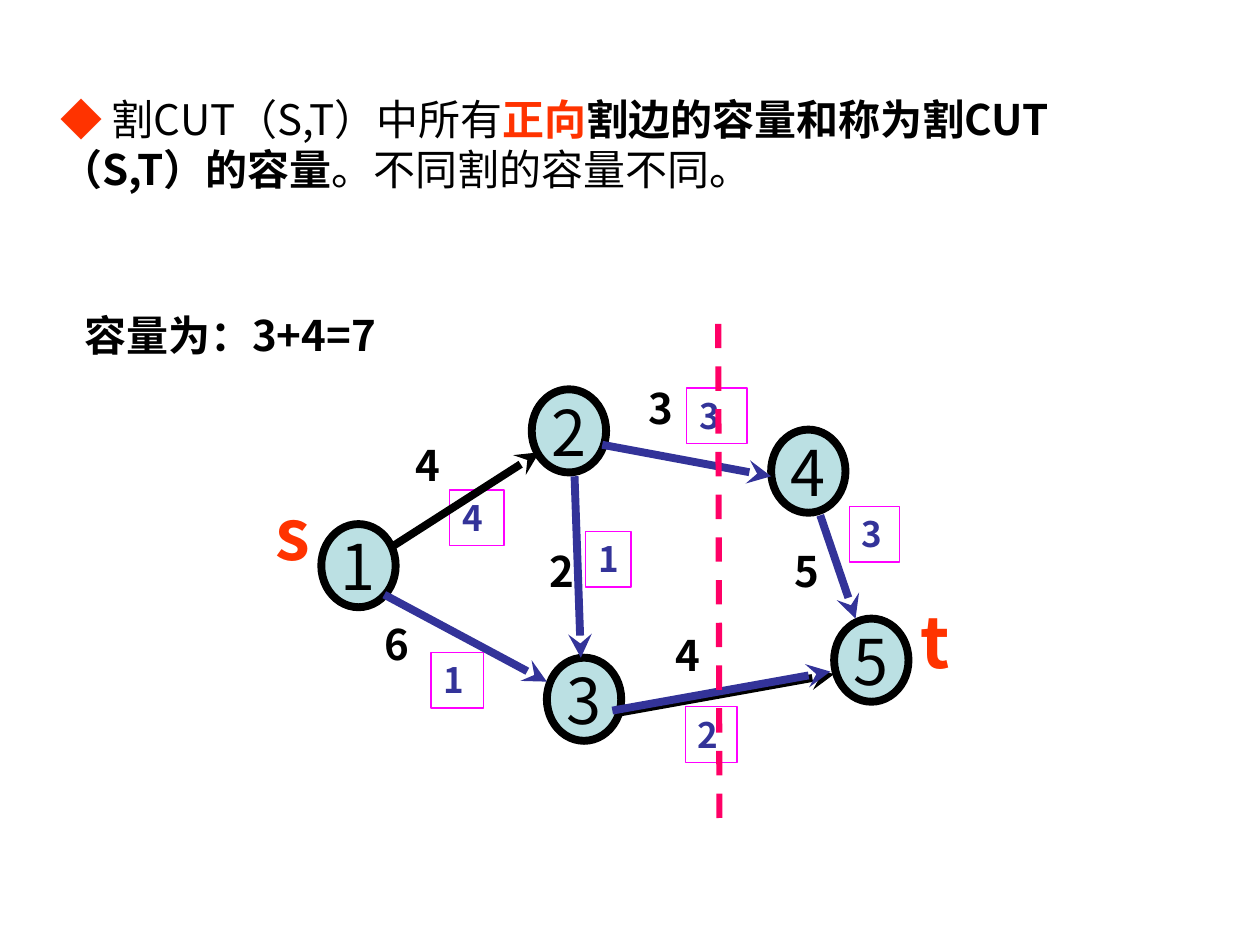
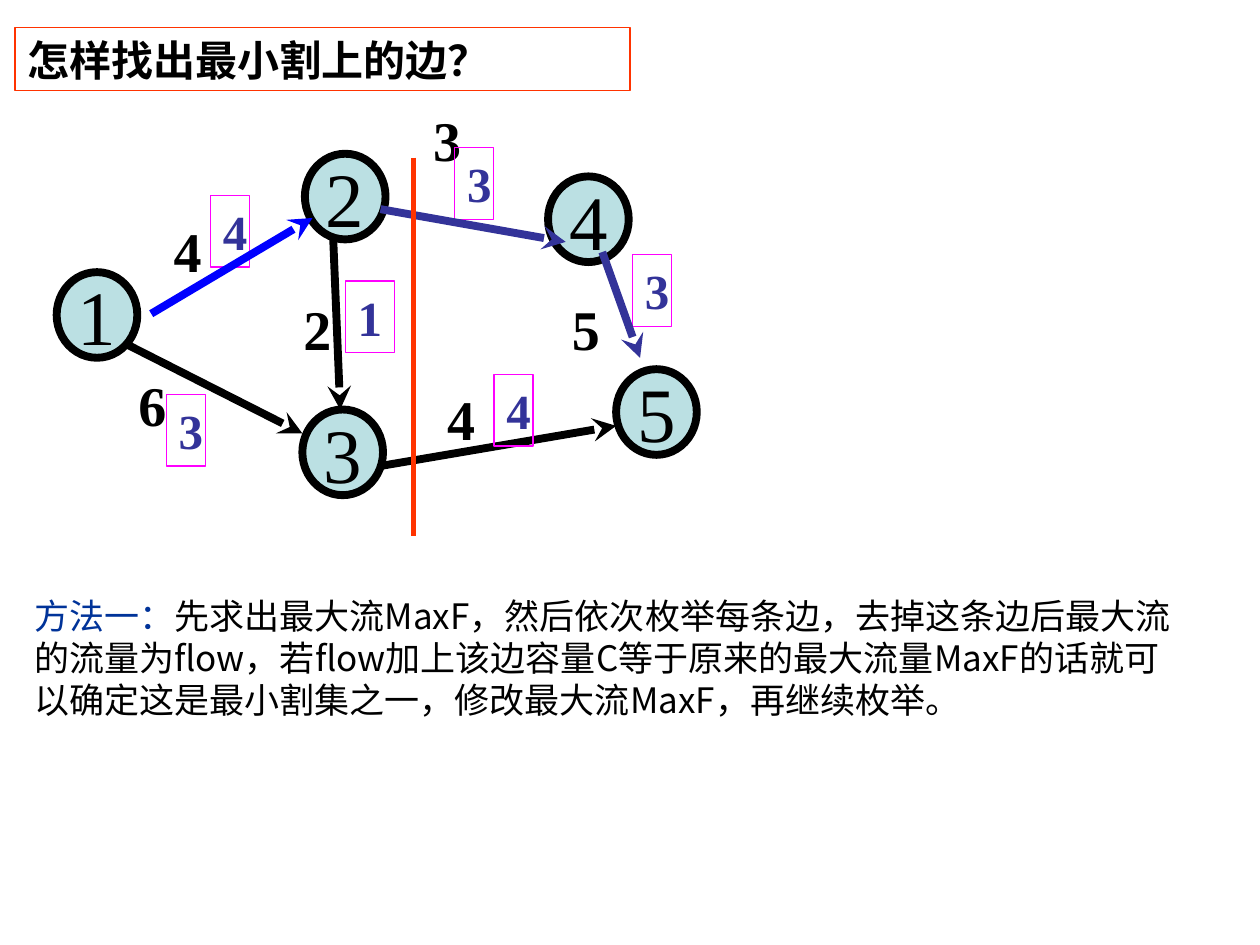
from dataclasses import dataclass
from lxml.etree import SubElement as Sub
from pptx import Presentation
from pptx.dml.color import RGBColor as RGB
from pptx.enum.dml import MSO_LINE as Dash
from pptx.enum.shapes import MSO_CONNECTOR as Link, MSO_SHAPE as Form
from pptx.enum.text import MSO_ANCHOR as Anchor, MSO_AUTO_SIZE as Fit, PP_ALIGN as Align
from pptx.oxml.ns import qn
from pptx.util import Inches, Pt

BLACK = RGB(0x00, 0x00, 0x00)
RED = RGB(0xFF, 0x33, 0x00)
ROSE = RGB(0xFF, 0x00, 0x66)
PINK = RGB(0xFF, 0x00, 0xFF)
NAVY = RGB(0x33, 0x33, 0x99)
BLUE = RGB(0x00, 0x00, 0xFF)
DEEP = RGB(0x00, 0x33, 0x99)
TEAL = RGB(0xBB, 0xE0, 0xE3)
SANS = "Noto Sans CJK SC"
SERIF = "Times New Roman"


@dataclass
class Style:
    """Font and sizes of one network drawing."""
    face: str
    node: tuple   # width, height
    num: int      # node number size
    cap: int      # capacity size
    flow: int     # flow size
    tall: float   # flow box height


def write(shape, runs, size, face=SANS, align=Align.LEFT, anchor=Anchor.TOP):
    """Fill a shape with one paragraph of (text, colour, bold) runs."""
    frame = shape.text_frame
    frame.auto_size, frame.word_wrap = Fit.NONE, True
    frame.vertical_anchor = anchor
    para = frame.paragraphs[0]
    if shape.is_placeholder:
        props = para._p.get_or_add_pPr()
        props.set("marL", "0")
        props.set("indent", "0")
        Sub(props, qn("a:buNone"))
    para.alignment, para.space_before = align, Pt(0)
    font = para.font
    font.size, font.name = Pt(size), face
    Sub(font._element, qn("a:ea")).set("typeface", face)
    if len(runs) == 1:
        font.color.rgb, font.bold = runs[0][1:]
    for text, color, bold in runs:
        run = para.add_run()
        run.text = text
        if len(runs) > 1:
            run.font.color.rgb, run.font.bold = color, bold
    return para


def place(shape, x, y, w, h):
    shape.left, shape.top = Inches(x), Inches(y)
    shape.width, shape.height = Inches(w), Inches(h)
    return shape


def label(slide, x, y, w, h, text, size, face=SANS, color=BLACK):
    box = slide.shapes.add_textbox(*map(Inches, (x, y, w, h)))
    write(box, [(text, color, True)], size, face)
    return box


def frame(shape, color):
    shape.line.color.rgb, shape.line.width = color, Pt(0.75)


def line(slide, ends, color, width=4.5, arrow=True, dash=None):
    link = slide.shapes.add_connector(Link.STRAIGHT, *map(Inches, ends))
    link.line.color.rgb, link.line.width = color, Pt(width)
    if dash:
        link.line.dash_style = dash
    if arrow:
        Sub(link.line._ln, qn("a:tailEnd")).set("type", "stealth")
    Sub(link._element.spPr, qn("a:effectLst"))


def graph(slide, left, top, style, back, caps, flows, nodes, front):
    """Draw a flow network, all places relative to (left, top)."""
    def edges(rows):
        for x1, y1, x2, y2, color in rows:
            line(slide, (left + x1, top + y1, left + x2, top + y2), color)

    edges(back)
    # Capacities
    for text, x, y in caps:
        label(slide, left + x, top + y, 0.36, style.cap / 50, text, style.cap, style.face)
    # Framed flows
    for text, x, y, w in flows:
        box = label(slide, left + x, top + y, w, style.tall, text, style.flow,
                    style.face, NAVY)
        frame(box, PINK)
    # Numbered nodes
    for num, (x, y) in nodes.items():
        oval = slide.shapes.add_shape(
            Form.OVAL, *map(Inches, (left + x, top + y, *style.node)))
        oval.shadow.inherit = False
        oval.fill.solid()
        oval.fill.fore_color.rgb = TEAL
        oval.line.color.rgb, oval.line.width = BLACK, Pt(4.5)
        write(oval, [(str(num), BLACK, False)], style.num, style.face,
              Align.CENTER, Anchor.MIDDLE)
        oval.text_frame.word_wrap = False
    edges(front)


def volume(deck):
    """Slide on the capacity of a cut."""
    slide = deck.slides.add_slide(deck.slide_layouts[5])
    head = place(slide.shapes.title, 0.38, 0.69, 8.9, 0.9)
    write(head, [("◆ ", RED, False), ("割CUT（S,T）中所有", BLACK, False),
                 ("正向", RED, True), ("割边的容量和称为割CUT（S,T）的容量", BLACK, True),
                 ("。不同割的容量不同。", BLACK, False)], 24)
    graph(
        slide, 2, 2, Style(SANS, (0.59, 0.66), 36, 24, 20, 0.44),
        back=[(2.89, 3.66, 4.62, 3.35, BLACK)],
        caps=[("6", 0.95, 2.86), ("4", 1.2, 1.44), ("3", 3.05, 0.99),
              ("4", 3.26, 2.95), ("5", 4.21, 2.28), ("2", 2.26, 2.28)],
        flows=[("4", 1.57, 1.89, 0.43), ("1", 2.65, 2.22, 0.36),
               ("2", 3.44, 3.61, 0.41), ("3", 3.45, 1.08, 0.48),
               ("3", 4.74, 2.02, 0.4), ("1", 1.42, 3.18, 0.42)],
        nodes={1: (0.55, 2.16), 2: (2.22, 1.09), 4: (4.12, 1.41),
               3: (2.34, 3.22), 5: (4.62, 2.91)},
        front=[(1.11, 2.34, 2.28, 1.59, BLACK), (1.05, 2.72, 2.34, 3.41, NAVY),
               (2.78, 1.53, 4.12, 1.78, NAVY), (4.51, 2.09, 4.79, 2.91, NAVY),
               (2.56, 1.78, 2.61, 3.22, NAVY), (2.86, 3.64, 4.59, 3.33, NAVY)])
    # Source, sink, cut and its capacity
    for text, x, y in (("s", 2.09, 3.84), ("t", 7.21, 4.7)):
        label(slide, x, y, 0.47, 0.77, text, 40, color=RED)
    line(slide, (5.7, 2.57, 5.71, 6.51), ROSE, 3.5, False, Dash.DASH)
    label(slide, 0.57, 2.41, 2.78, 0.5, "容量为：3+4=7", 24)


def search(deck):
    """Slide on finding the edges of the minimum cut."""
    slide = deck.slides.add_slide(deck.slide_layouts[1])
    head = place(slide.shapes.title, 0.12, 0.22, 4.88, 0.5)
    frame(head, RED)
    write(head, [("怎样找出最小割上的边？", BLACK, True)], 24)
    graph(
        slide, 0, 0.5, Style(SERIF, (0.64, 0.68), 44, 32, 28, 0.57),
        back=[(1, 2.23, 2.4, 2.94, BLACK), (2.64, 1.28, 2.7, 2.75, BLACK),
              (3.01, 3.2, 4.89, 2.88, BLACK)],
        caps=[("6", 1, 2.39), ("2", 2.31, 1.79), ("3", 3.34, 0.29),
              ("4", 3.45, 2.5), ("4", 1.28, 1.17), ("5", 4.44, 1.79)],
        flows=[("4", 1.67, 1.05, 0.31), ("1", 2.74, 1.73, 0.39),
               ("3", 3.61, 0.67, 0.31), ("3", 5.02, 1.52, 0.31),
               ("3", 1.32, 2.63, 0.31), ("4", 3.92, 2.47, 0.31)],
        nodes={1: (0.45, 1.66), 2: (2.42, 0.72), 4: (4.35, 0.9),
               3: (2.4, 2.75), 5: (4.89, 2.43)},
        front=[(1.2, 1.99, 2.48, 1.23, BLUE), (3.02, 1.16, 4.49, 1.42, NAVY),
               (4.78, 1.5, 5.08, 2.34, NAVY)])
    # Cut and method
    line(slide, (3.28, 1.25, 3.28, 4.25), RED, 3, False)
    body = place(slide.placeholders[1], 0.17, 4.67, 9.25, 1.1)
    write(body, [("方法一：", DEEP, False),
                 ("先求出最大流MaxF，然后依次枚举每条边，去掉这条边后最大流的流量为flow，"
                  "若flow加上该边容量C等于原来的最大流量MaxF的话就可以确定这是最小割集之一，"
                  "修改最大流MaxF，再继续枚举。", BLACK, False)], 20)


def main():
    deck = Presentation()
    deck.slide_width, deck.slide_height = Inches(10), Inches(7.5)
    volume(deck)
    search(deck)
    deck.save("out.pptx")


if __name__ == "__main__":
    main()
